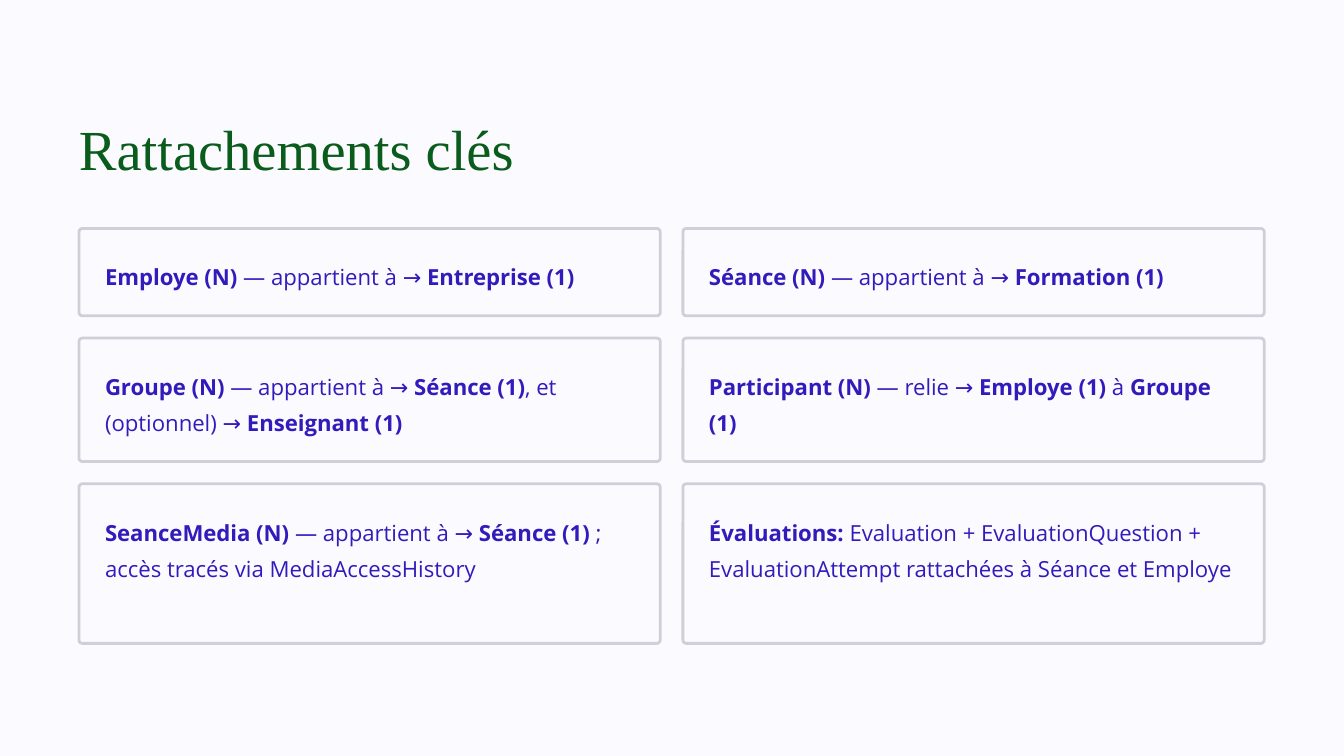
from dataclasses import dataclass

from pptx import Presentation
from pptx.dml.color import RGBColor
from pptx.enum.shapes import MSO_SHAPE
from pptx.util import Inches, Pt

ROUNDED = MSO_SHAPE.ROUNDED_RECTANGLE

PAPER, BORDER, GREEN, INDIGO = "FBFAFF", "D0CED9", "095C1B", "321BBB"
SERIF, SANS = "Times New Roman", "Open Sans"

# Card grid, in inches
LEFT, TOP, WIDTH = 0.94, 2.72, 6.92
STEP, GAP = 7.19, 0.265
PAD_X, PAD_Y = 0.31, 0.305
RADIUS = 0.04


@dataclass
class Run:
    text: str
    bold: bool = False


@dataclass
class Row:
    height: float
    cards: list[list[Run]]


ROWS = [
    Row(1.04, [
        [Run("Employe (N)", True), Run(" — appartient à → "),
         Run("Entreprise (1)", True)],
        [Run("Séance (N)", True), Run(" — appartient à → "),
         Run("Formation (1)", True)],
    ]),
    Row(1.47, [
        [Run("Groupe (N)", True), Run(" — appartient à → "),
         Run("Séance (1)", True), Run(", et (optionnel) → "),
         Run("Enseignant (1)", True)],
        [Run("Participant (N)", True), Run(" — relie → "),
         Run("Employe (1)", True), Run(" à "), Run("Groupe (1)", True)],
    ]),
    Row(1.9, [
        [Run("SeanceMedia (N)", True), Run(" — appartient à → "),
         Run("Séance (1)", True),
         Run(" ; accès tracés via MediaAccessHistory")],
        [Run("Évaluations:", True),
         Run(" Evaluation + EvaluationQuestion + EvaluationAttempt"
             " rattachées à Séance et Employe")],
    ]),
]


@dataclass
class Style:
    font: str
    size: float
    color: str
    leading: float


TITLE = Style(SERIF, 48.5, GREEN, 60.5)
BODY = Style(SANS, 19, INDIGO, 31)


def color(code: str) -> RGBColor:
    return RGBColor.from_string(code)


def add_text(slide, x: float, y: float, w: float, h: float,
             runs: list[Run], style: Style) -> None:
    box = slide.shapes.add_textbox(Inches(x), Inches(y), Inches(w), Inches(h))
    frame = box.text_frame
    frame.word_wrap = True
    frame.margin_left = frame.margin_right = 0
    frame.margin_top = frame.margin_bottom = 0
    line = frame.paragraphs[0]
    line.line_spacing = Pt(style.leading)
    for part in runs:
        run = line.add_run()
        run.text = part.text
        run.font.name = style.font
        run.font.size = Pt(style.size)
        run.font.bold = part.bold
        run.font.color.rgb = color(style.color)


def add_card(slide, x: float, y: float, h: float, runs: list[Run]) -> None:
    card = slide.shapes.add_shape(
        ROUNDED, Inches(x), Inches(y), Inches(WIDTH), Inches(h))
    card.adjustments[0] = RADIUS / h
    card.shadow.inherit = False
    card.fill.solid()
    card.fill.fore_color.rgb = color(PAPER)
    card.line.color.rgb = color(BORDER)
    card.line.width = Pt(2.4)
    add_text(slide, x + PAD_X, y + PAD_Y, WIDTH - 2 * PAD_X + 0.01,
             h - 2 * PAD_Y, runs, BODY)


def main() -> None:
    deck = Presentation()
    deck.slide_width, deck.slide_height = Inches(16), Inches(9)
    slide = deck.slides.add_slide(deck.slide_layouts[6])
    back = slide.background.fill
    back.solid()
    back.fore_color.rgb = color(PAPER)

    # Title
    add_text(slide, LEFT, 1.33, 6.75, 0.84, [Run("Rattachements clés")], TITLE)

    # Cards, two to a row
    y = TOP
    for row in ROWS:
        for col, runs in enumerate(row.cards):
            add_card(slide, LEFT + col * STEP, y, row.height, runs)
        y += row.height + GAP

    deck.save("out.pptx")


if __name__ == "__main__":
    main()
